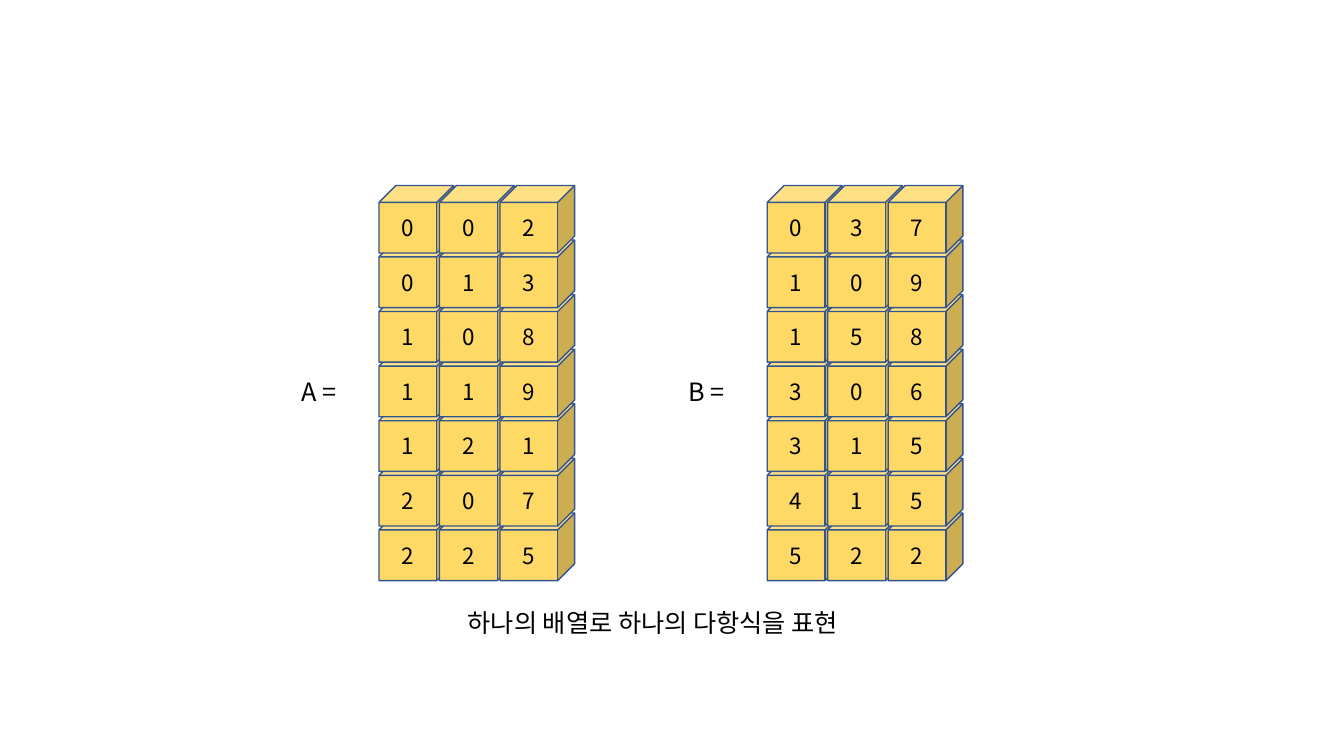
from lxml.etree import SubElement
from pptx import Presentation
from pptx.dml.color import RGBColor
from pptx.enum.shapes import MSO_SHAPE
from pptx.enum.text import MSO_ANCHOR, MSO_AUTO_SIZE, PP_ALIGN
from pptx.oxml.ns import qn
from pptx.util import Inches, Pt

GOLD = RGBColor(0xFF, 0xD9, 0x66)
NAVY = RGBColor(0x32, 0x54, 0x91)
BLACK = RGBColor(0, 0, 0)
FONT = "Noto Sans CJK KR"

# Cube grid, in inches
TOP, LAST = 1.84, 5.09
WIDE, HIGH = 0.74, 0.67
COL = 0.6

# Each row: two exponents and a coefficient
ARRAYS = [
    ("A =", 3.76, ["002", "013", "108", "119", "121", "207", "225"]),
    ("B =", 7.61, ["037", "109", "158", "306", "315", "415", "522"]),
]


def write(shape, text, size=18, anchor=MSO_ANCHOR.TOP, fit=MSO_AUTO_SIZE.SHAPE_TO_FIT_TEXT):
    frame = shape.text_frame
    frame.word_wrap = True
    frame.auto_size = fit
    frame.vertical_anchor = anchor
    para = frame.paragraphs[0]
    para.alignment = PP_ALIGN.CENTER
    run = para.add_run()
    run.text = text
    run.font.size = Pt(size)
    run.font.name = FONT
    run.font.color.rgb = BLACK
    # Hangul takes the East Asian font
    SubElement(run.font._element, qn("a:ea"), typeface=FONT)


deck = Presentation()
deck.slide_width, deck.slide_height = Inches(13.33), Inches(7.5)
slide = deck.slides.add_slide(deck.slide_layouts[6])
shapes = slide.shapes

for name, left, rows in ARRAYS:
    # Cubes, from the bottom row up so that upper rows overlap lower ones
    step = (LAST - TOP) / (len(rows) - 1)
    for r, row in reversed(list(enumerate(rows))):
        for c, digit in enumerate(row):
            cube = shapes.add_shape(
                MSO_SHAPE.CUBE, Inches(left + c * COL), Inches(TOP + r * step),
                Inches(WIDE), Inches(HIGH))
            cube.shadow.inherit = False
            cube.fill.solid()
            cube.fill.fore_color.rgb = GOLD
            cube.line.color.rgb = NAVY
            cube.line.width = Pt(1)
            write(cube, digit, size=16, anchor=MSO_ANCHOR.MIDDLE, fit=MSO_AUTO_SIZE.NONE)

    # Array name
    label = shapes.add_textbox(Inches(left - 1.12), Inches(3.68), Inches(1.04), Inches(0.4))
    write(label, name)

# Caption
note = shapes.add_textbox(Inches(3.93), Inches(5.98), Inches(5.09), Inches(0.4))
write(note, "하나의 배열로 하나의 다항식을 표현")

deck.save("out.pptx")
